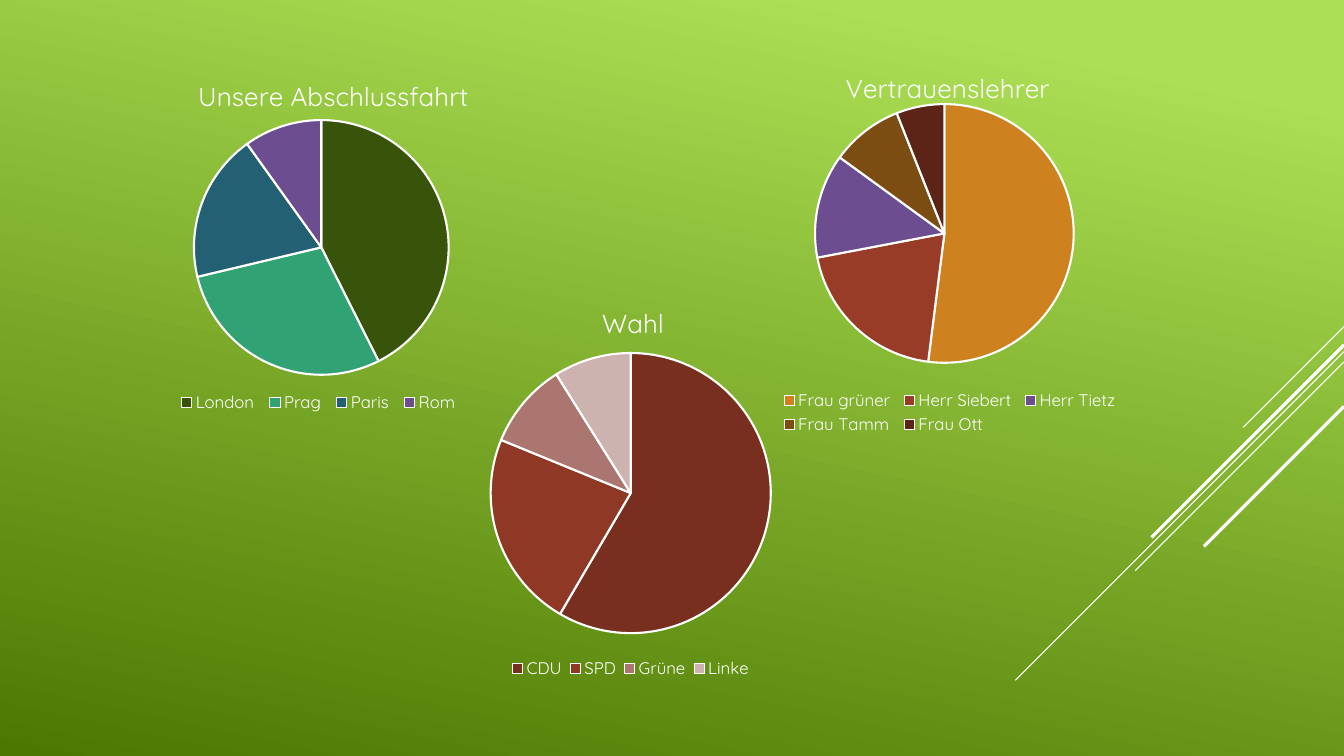
from dataclasses import dataclass

from lxml.etree import SubElement
from pptx import Presentation
from pptx.chart.chart import Chart
from pptx.chart.data import CategoryChartData
from pptx.dml.color import RGBColor
from pptx.enum.chart import XL_CHART_TYPE, XL_LEGEND_POSITION
from pptx.enum.shapes import MSO_CONNECTOR
from pptx.oxml import parse_xml
from pptx.oxml.ns import nsdecls, qn
from pptx.slide import Slide
from pptx.util import Cm, Pt

FONT = "Quicksand"
SLIDE_WIDTH = 33.87
SLIDE_HEIGHT = 19.05
COLORS = {
    "white": "FFFFFF", "light green": "ACDF55", "dark green": "4C7800",
    "olive": "38540A", "jade": "31A274", "petrol": "236073", "purple": "6C4D90",
    "orange": "CD811F", "brick": "983C27", "brown": "7B4D13", "maroon": "5B2417",
    "dark red": "782F1F", "red": "8E3825", "rose": "AC7670", "pale rose": "CCB3B0",
}


@dataclass(frozen=True)
class Slice:
    """One answer of a vote with its share and colour."""
    name: str
    value: int
    color: str


@dataclass(frozen=True)
class Vote:
    """A pie chart: frame in cm, inner areas as fractions of the frame."""
    title: str
    frame: tuple[float, float, float, float]
    title_area: tuple[float, ...]
    plot_area: tuple[float, ...]
    legend_area: tuple[float, ...]
    slices: tuple[Slice, ...]


@dataclass(frozen=True)
class Ray:
    """A 45 degree line from the right slide edge, in cm and points."""
    top: float
    run: float
    weight: float


VOTES = (
    Vote("Unsere Abschlussfahrt", (1.17, 1.12, 13.72, 10.03),
         (0.27, 0.07), (0.27, 0.19, 0.47, 0.64), (0.23, 0.86, 0.54, 0.08),
         (Slice("London", 43, "olive"), Slice("Prag", 29, "jade"),
          Slice("Paris", 19, "petrol"), Slice("Rom", 10, "purple"))),
    Vote("Vertrauenslehrer", (16.94, 1.12, 13.72, 10.03),
         (0.31, 0.05), (0.26, 0.15, 0.48, 0.65), (0.19, 0.86, 0.64, 0.13),
         (Slice("Frau grüner", 52, "orange"), Slice("Herr Siebert", 20, "brick"),
          Slice("Herr Tietz", 13, "purple"), Slice("Frau Tamm", 9, "brown"),
          Slice("Frau Ott", 6, "maroon"))),
    Vote("Wahl", (7.49, 7.04, 16.81, 10.26),
         (0.45, 0.05), (0.29, 0.18, 0.42, 0.69), (0.31, 0.93, 0.38, 0.06),
         (Slice("CDU", 59, "dark red"), Slice("SPD", 23, "red"),
          Slice("Grüne", 10, "rose"), Slice("Linke", 9, "pale rose"))),
)
RAYS = (
    Ray(8.23, 2.54, 0.75), Ray(8.86, 8.28, 0.75), Ray(9.12, 5.26, 0.75),
    Ray(8.69, 4.85, 2.25), Ray(10.24, 3.53, 2.25),
)


def color(name: str) -> RGBColor:
    """Look up a named colour."""
    return RGBColor.from_string(COLORS[name])


def style_font(font, size: float) -> None:
    """Set the white chart font at the given size."""
    font.name = FONT
    font.size = Pt(size)
    font.bold = False
    font.color.rgb = color("white")


def paint_background(slide: Slide) -> None:
    """Fill the slide with the green gradient."""
    fill = slide.background.fill
    fill.gradient()
    fill.gradient_angle = 258
    stops = ((0.1, "light green"), (1.0, "dark green"))
    for stop, (position, name) in zip(fill.gradient_stops, stops):
        stop.position = position
        stop.color.rgb = color(name)


def add_ray(slide: Slide, ray: Ray) -> None:
    """Draw one diagonal line down from the right edge."""
    connector = slide.shapes.add_connector(
        MSO_CONNECTOR.STRAIGHT, Cm(SLIDE_WIDTH), Cm(ray.top),
        Cm(SLIDE_WIDTH - ray.run), Cm(ray.top + ray.run))
    connector.line.color.rgb = color("white")
    connector.line.width = Pt(ray.weight)
    SubElement(connector.element.spPr, qn("a:effectLst"))


def place_part(part, index: int, area: tuple[float, ...], inner: bool = False) -> None:
    """Give a chart part a manual layout at the given child index."""
    for old_layout in part.findall(qn("c:layout")):
        part.remove(old_layout)
    target = '<c:layoutTarget val="inner"/>' if inner else ""
    modes = "".join(f'<c:{axis}Mode val="edge"/>' for axis in "xy")
    sizes = "".join(f'<c:{key} val="{value}"/>' for key, value in zip("xywh", area))
    part.insert(index, parse_xml(
        f'<c:layout {nsdecls("c")}><c:manualLayout>{target}{modes}{sizes}'
        '</c:manualLayout></c:layout>'))


def add_title(chart: Chart, text: str) -> None:
    """Write the chart title."""
    chart.has_title = True
    run = chart.chart_title.text_frame.paragraphs[0].add_run()
    run.text = text
    style_font(run.font, 18.6)


def add_legend(chart: Chart) -> None:
    """Show the legend below the pie."""
    chart.has_legend = True
    chart.legend.position = XL_LEGEND_POSITION.BOTTOM
    chart.legend.include_in_layout = False
    style_font(chart.legend.font, 12)


def add_vote(slide: Slide, vote: Vote) -> None:
    """Draw one vote as a pie chart."""
    data = CategoryChartData()
    data.categories = [part.name for part in vote.slices]
    data.add_series(vote.title, [part.value for part in vote.slices])
    frame = [Cm(length) for length in vote.frame]
    chart = slide.shapes.add_chart(XL_CHART_TYPE.PIE, *frame, data).chart
    style_font(chart.font, 10)
    add_title(chart, vote.title)
    add_legend(chart)

    plot = chart.plots[0]
    plot.vary_by_categories = True
    for index, part in enumerate(vote.slices):
        point_format = plot.series[0].points[index].format
        point_format.fill.solid()
        point_format.fill.fore_color.rgb = color(part.color)
        point_format.line.color.rgb = color("white")
        point_format.line.width = Pt(1.5)

    title = chart.chart_title.element
    chart_element = title.getparent()
    place_part(title, 1, vote.title_area)
    place_part(chart_element.find(qn("c:plotArea")), 0, vote.plot_area, inner=True)
    place_part(chart_element.find(qn("c:legend")), 1, vote.legend_area)


def main() -> None:
    """Build and save the slide."""
    presentation = Presentation()
    presentation.slide_width = Cm(SLIDE_WIDTH)
    presentation.slide_height = Cm(SLIDE_HEIGHT)
    slide = presentation.slides.add_slide(presentation.slide_layouts[6])
    paint_background(slide)
    for ray in RAYS:
        add_ray(slide, ray)
    for vote in VOTES:
        add_vote(slide, vote)
    presentation.save("out.pptx")


main()
